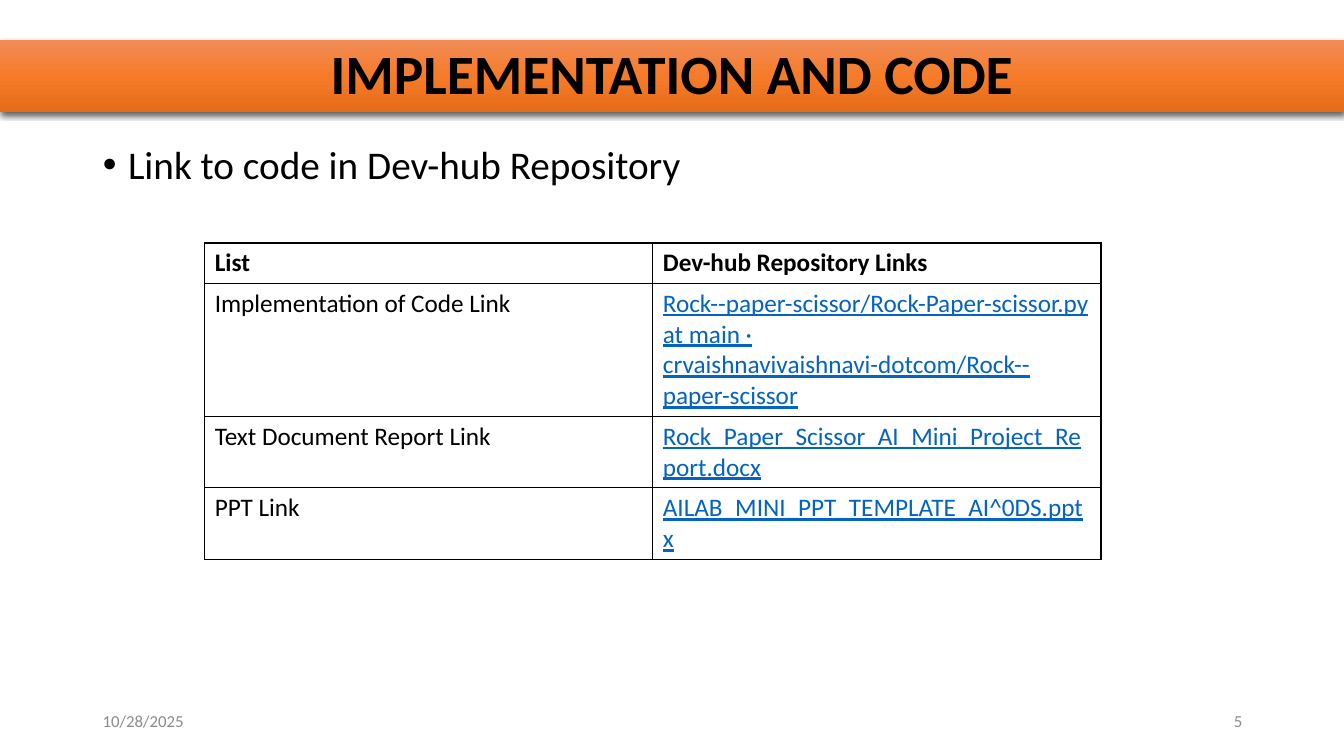
import pptx
import pptx.dml.color
import pptx.enum.text
import pptx.oxml
import pptx.oxml.ns
import pptx.util
from pptx.util import Inches

BLACK = pptx.dml.color.RGBColor(0x00, 0x00, 0x00)
GREY = pptx.dml.color.RGBColor(0x8C, 0x8C, 0x8C)
LINK_BLUE = pptx.dml.color.RGBColor(0x05, 0x63, 0xC1)
BANNER_STOPS = (
    (0, pptx.dml.color.RGBColor(0xF1, 0x8C, 0x57)),
    (50, pptx.dml.color.RGBColor(0xF6, 0x7B, 0x28)),
    (100, pptx.dml.color.RGBColor(0xE5, 0x6C, 0x19)),
)
ALIGN = pptx.enum.text.PP_ALIGN
ANCHOR = pptx.enum.text.MSO_ANCHOR
NAMESPACE = pptx.oxml.ns.nsdecls("a")

LINK_ROWS = (
    ("List", "Dev-hub Repository Links"),
    ("Implementation of Code Link",
     "Rock--paper-scissor/Rock-Paper-scissor.py at main · "
     "crvaishnavivaishnavi-dotcom/Rock--paper-scissor"),
    ("Text Document Report Link", "Rock_Paper_Scissor_AI_Mini_Project_Report.docx"),
    ("PPT Link", "AILAB_MINI_PPT_TEMPLATE_AI^0DS.pptx"),
)
ROW_HEIGHTS = (0.4, 1.32, 0.71, 0.71)


def set_attributes(target, values):
    for name, value in values.items():
        setattr(target, name, value)


def place(shape, left, top, width, height):
    set_attributes(shape, {"left": Inches(left), "top": Inches(top),
                           "width": Inches(width), "height": Inches(height)})


def write_text(frame, text, size, color=BLACK, paragraph_format=None, **font_format):
    paragraph = frame.paragraphs[0]
    set_attributes(paragraph, paragraph_format or {})
    run = paragraph.add_run()
    run.text = text
    set_attributes(run.font, {"name": "Calibri", "size": pptx.util.Pt(size), **font_format})
    run.font.color.rgb = color
    return paragraph


def style_banner(shape):
    """Give the title its vertical orange gradient and soft shadow."""
    stops = "".join(f'<a:gs pos="{position * 1000}"><a:srgbClr val="{color}"/></a:gs>'
                    for position, color in BANNER_STOPS)
    gradient = (f'<a:gradFill {NAMESPACE} rotWithShape="1"><a:gsLst>{stops}</a:gsLst>'
                '<a:lin ang="5400000" scaled="0"/></a:gradFill>')
    shadow = (f'<a:effectLst {NAMESPACE}><a:outerShdw blurRad="{pptx.util.Pt(4.5)}" '
              f'dist="{pptx.util.Pt(1.5)}" dir="5400000" algn="ctr" rotWithShape="0">'
              f'<a:srgbClr val="{BLACK}"><a:alpha val="63000"/></a:srgbClr>'
              '</a:outerShdw></a:effectLst>')
    for xml in (gradient, shadow):
        shape._element.spPr.append(pptx.oxml.parse_xml(xml))


def add_title(slide, text):
    title = slide.shapes.title
    place(title, 0, 0.4, 13.33, 0.71)
    style_banner(title)
    set_attributes(title.text_frame, {"auto_size": pptx.enum.text.MSO_AUTO_SIZE.NONE,
                                      "vertical_anchor": ANCHOR.MIDDLE})
    write_text(title.text_frame, text, 39.6, bold=True,
               paragraph_format={"alignment": ALIGN.CENTER, "line_spacing": 0.9})


def add_bullet(slide, text):
    body = slide.placeholders[1]
    place(body, 0.92, 1.39, 11.5, 5.37)
    body.text_frame.auto_size = pptx.enum.text.MSO_AUTO_SIZE.NONE
    paragraph = write_text(body.text_frame, text, 28, paragraph_format={
        "line_spacing": 0.9, "space_before": pptx.util.Pt(10)})
    properties = paragraph._p.get_or_add_pPr()
    properties.set("marL", str(Inches(0.25)))
    properties.set("indent", str(Inches(-0.25)))
    for xml in (f'<a:buFont {NAMESPACE} typeface="Arial"/>',
                f'<a:buChar {NAMESPACE} char="•"/>'):
        properties.append(pptx.oxml.parse_xml(xml))


def add_footer(slide, text, left, alignment):
    box = slide.shapes.add_textbox(Inches(left), Inches(6.95), Inches(3), Inches(0.4))
    set_attributes(box.text_frame, {"word_wrap": True, "vertical_anchor": ANCHOR.MIDDLE})
    write_text(box.text_frame, text, 12, GREY, {"alignment": alignment})


def add_borders(cell):
    properties = cell._tc.get_or_add_tcPr()
    for position, side in enumerate(("lnL", "lnR", "lnT", "lnB")):
        properties.insert(position, pptx.oxml.parse_xml(
            f'<a:{side} {NAMESPACE} w="{pptx.util.Pt(1)}"><a:solidFill>'
            f'<a:srgbClr val="{BLACK}"/></a:solidFill></a:{side}>'))


def add_link_table(slide):
    table = slide.shapes.add_table(
        len(LINK_ROWS), 2, Inches(2.03), Inches(2.41),
        Inches(8.89), Inches(sum(ROW_HEIGHTS))).table
    set_attributes(table, {"first_row": False, "horz_banding": False})
    for row, height in zip(table.rows, ROW_HEIGHTS):
        row.height = Inches(height)
    for row_index, texts in enumerate(LINK_ROWS):
        for column_index, text in enumerate(texts):
            cell = table.cell(row_index, column_index)
            cell.fill.background()
            add_borders(cell)
            is_header = row_index == 0
            is_link = column_index == 1 and not is_header
            write_text(cell.text_frame, text, 18, LINK_BLUE if is_link else BLACK,
                       bold=is_header, underline=is_link)


def main():
    presentation = pptx.Presentation()
    set_attributes(presentation, {"slide_width": Inches(13.33), "slide_height": Inches(7.5)})
    slide = presentation.slides.add_slide(presentation.slide_layouts[1])
    add_title(slide, "IMPLEMENTATION AND CODE")
    add_bullet(slide, "Link to code in Dev-hub Repository")
    add_footer(slide, "10/28/2025", 0.92, ALIGN.LEFT)
    add_footer(slide, "5", 9.42, ALIGN.RIGHT)
    add_link_table(slide)
    presentation.save("out.pptx")


if __name__ == "__main__":
    main()
